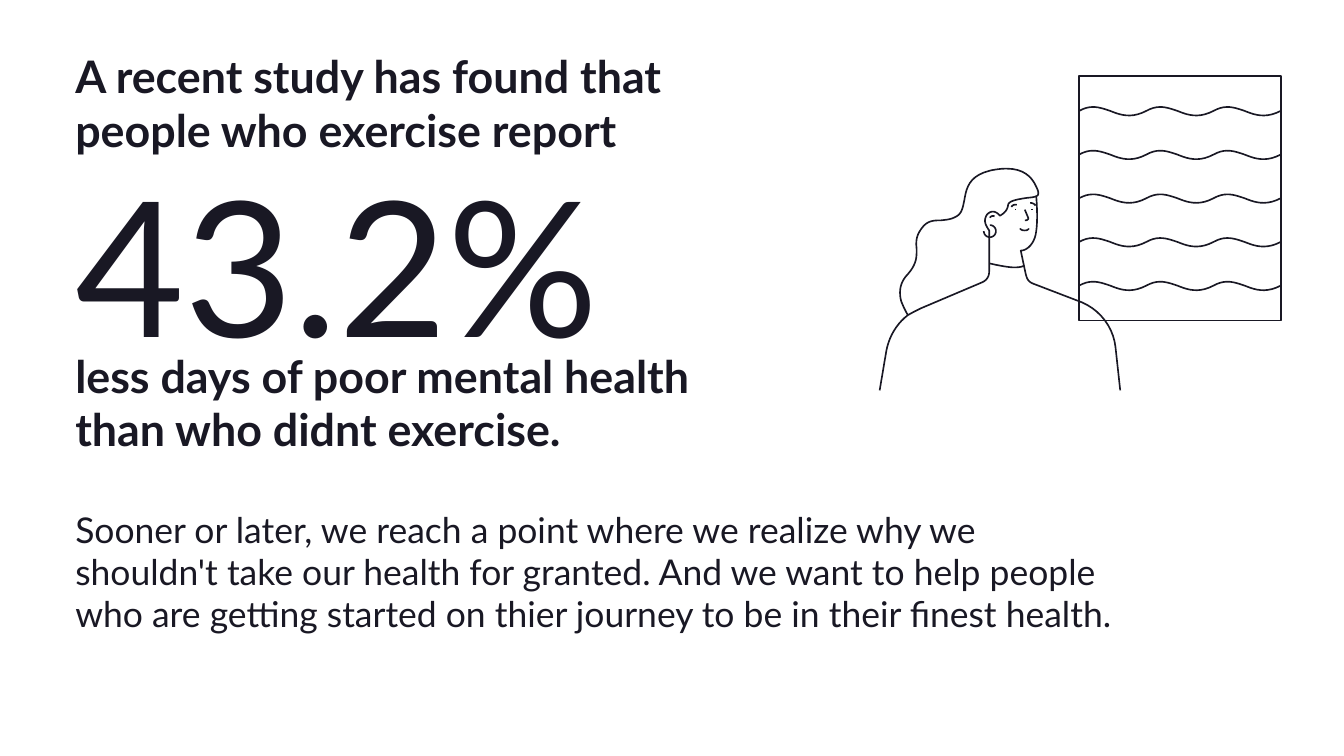
"""Builds the slide on exercise and mental health, with a line drawing of a woman by a window."""
from dataclasses import dataclass

from pptx import Presentation
from pptx.dml.color import RGBColor
from pptx.enum.shapes import MSO_SHAPE
from pptx.enum.text import MSO_ANCHOR, MSO_AUTO_SIZE, PP_ALIGN
from pptx.util import Inches, Pt

RECTANGLE = MSO_SHAPE.RECTANGLE
TOP = MSO_ANCHOR.TOP
NO_AUTOFIT = MSO_AUTO_SIZE.NONE
LEFT = PP_ALIGN.LEFT

COLUMNS, ROWS = 20, 11.25
CELL = Inches(1)
MARGIN = 1.12
CURVE_STEPS = 10


@dataclass(frozen=True)
class Theme:
    """Colours, font, type sizes and line width of the slide."""
    ink: RGBColor = RGBColor(0x19, 0x18, 0x24)
    paper: RGBColor = RGBColor(0xFF, 0xFF, 0xFF)
    font: str = "Lato"
    statement: int = 48
    figure: int = 202
    body: int = 38
    stroke: float = 1.75


@dataclass(frozen=True)
class Area:
    """A rectangle in columns and rows of the grid."""
    column: float
    row: float
    columns: float
    rows: float

    def lengths(self) -> tuple[int, ...]:
        """Return left, top, width and height in slide units."""
        return tuple(cells(n) for n in (self.column, self.row, self.columns, self.rows))


@dataclass(frozen=True)
class Stroke:
    """A pen stroke: its start, then lines (x, y) and cubic curves (six numbers)."""
    start: tuple[float, float]
    steps: list[tuple[float, ...]]

    def points(self) -> list[tuple[float, float]]:
        """Return the points of the stroke, with curves divided into short lines."""
        points = [self.start]
        for step in self.steps:
            if len(step) == 2:
                points.append(step)
                continue
            xs = (points[-1][0], *step[::2])
            ys = (points[-1][1], *step[1::2])
            for i in range(1, CURVE_STEPS + 1):
                t = i / CURVE_STEPS
                points.append((bezier(xs, t), bezier(ys, t)))
        return points


THEME = Theme()

WINDOW = Area(16.06, 1.13, 3, 3.64)
WAVE_COUNT, WAVE_PERIODS = 5, 3
WAVE_TOP, WAVE_GAP = 1.65, 0.65
WAVE_PERIOD = WINDOW.columns / WAVE_PERIODS
WAVE_CURVES = [(0.18, -0.1, 0.31, -0.05, 0.46, 0), (0.61, 0.06, 0.77, 0.12, WAVE_PERIOD, 0)]

NECK_AND_JAW = Stroke((16.67, 5.81), [
    (16.6, 5.17), (16.57, 4.88, 16.38, 4.62, 16.1, 4.5),
    (15.37, 4.22), (15.3, 4.19, 15.28, 4.15, 15.26, 4.06),
    (15.19, 3.73), (15.28, 3.73, 15.4, 3.63, 15.42, 3.44),
    (15.45, 3.24, 15.42, 2.92, 15.42, 2.92)])
SHOULDER_AND_HAIR = Stroke((13.09, 5.81), [
    (13.19, 5.22), (13.23, 5.01, 13.34, 4.82, 13.51, 4.69),
    (13.58, 4.65, 13.64, 4.62, 13.7, 4.59),
    (14.62, 4.2), (14.68, 4.17, 14.72, 4.12, 14.72, 4.04),
    (14.72, 3.43), (14.68, 3.37, 14.62, 3.29, 14.69, 3.19),
    (14.76, 3.12, 14.83, 3.15, 14.88, 3.21),
    (14.9, 3.2, 14.99, 3.15, 15, 3.06),
    (15, 2.99, 15.13, 2.97, 15.25, 2.95),
    (15.31, 2.94, 15.38, 2.94, 15.42, 2.92),
    (15.46, 2.91, 15.46, 2.86, 15.43, 2.8),
    (15.39, 2.71, 15.3, 2.51, 14.98, 2.51),
    (14.9, 2.51, 14.82, 2.52, 14.73, 2.54),
    (14.41, 2.62, 14.38, 2.81, 14.35, 2.98),
    (14.33, 3.07, 14.32, 3.16, 14.25, 3.21),
    (14.16, 3.27, 14.08, 3.27, 14, 3.28),
    (13.89, 3.28, 13.79, 3.28, 13.7, 3.42),
    (13.63, 3.52, 13.63, 3.61, 13.64, 3.7),
    (13.64, 3.81, 13.65, 3.92, 13.51, 4.08),
    (13.4, 4.19, 13.37, 4.33, 13.41, 4.48),
    (13.44, 4.56, 13.47, 4.62, 13.51, 4.69)])
EAR = Stroke((14.73, 3.24), [(14.75, 3.21, 14.78, 3.21, 14.8, 3.22)])
EARRING = Stroke((14.64, 3.44), [
    (14.64, 3.49, 14.68, 3.53, 14.73, 3.53), (14.78, 3.53, 14.82, 3.49, 14.82, 3.44),
    (14.82, 3.39, 14.78, 3.35, 14.73, 3.35)])
EYES = [Stroke((x, 3.11), [(x, 3.13)]) for x in (15.11, 15.36)]
BROWS = [Stroke((15.05, 3.08), [(15.07, 3.05, 15.1, 3.04, 15.13, 3.05)]),
         Stroke((15.33, 3.02), [(15.36, 3.02, 15.39, 3.03, 15.41, 3.06)])]
NOSE = Stroke((15.25, 3.12), [(15.3, 3.24), (15.31, 3.26, 15.29, 3.28, 15.25, 3.28)])
MOUTH = Stroke((15.18, 3.4), [(15.18, 3.4, 15.19, 3.43, 15.25, 3.43),
                              (15.3, 3.43, 15.31, 3.4, 15.31, 3.4)])
COLLAR = Stroke((14.72, 3.92), [(14.73, 3.92, 14.97, 3.98, 15.09, 3.98),
                                (15.2, 3.98, 15.23, 3.96, 15.24, 3.95)])
WOMAN = [NECK_AND_JAW, SHOULDER_AND_HAIR, EAR, EARRING, *EYES, *BROWS, NOSE, MOUTH, COLLAR]


def cells(count: float) -> int:
    """Return the length of a number of grid cells."""
    return round(count * CELL)


def bezier(values: tuple[float, ...], t: float) -> float:
    """Return one coordinate of a cubic curve at share t."""
    a, b, c, d = values
    s = 1 - t
    return s**3 * a + 3 * s * s * t * b + 3 * s * t * t * c + t**3 * d


def wave(row: float) -> Stroke:
    """Return a wave that crosses the window at a row."""
    steps = []
    for period in range(WAVE_PERIODS):
        left = WINDOW.column + period * WAVE_PERIOD
        for curve in WAVE_CURVES:
            steps.append(tuple(n + (row if i % 2 else left) for i, n in enumerate(curve)))
    return Stroke((WINDOW.column, row), steps)


def outline(shape) -> None:
    """Give a shape the ink line only."""
    shape.shadow.inherit = False
    shape.fill.background()
    shape.line.color.rgb = THEME.ink
    shape.line.width = Pt(THEME.stroke)


def draw_strokes(slide, strokes: list[Stroke]) -> None:
    """Draw strokes together as one outline."""
    pen = None
    for stroke in strokes:
        start, *rest = [(cells(x), cells(y)) for x, y in stroke.points()]
        if pen is None:
            pen = slide.shapes.build_freeform(*start)
        else:
            pen.move_to(*start)
        pen.add_line_segments(rest, close=False)
    outline(pen.convert_to_shape())


def write(holder, text: str, area: Area, *, size: int, bold: bool = False,
          leading: float | None = None) -> None:
    """Place a text holder and write formatted text into it."""
    holder.left, holder.top, holder.width, holder.height = area.lengths()
    frame = holder.text_frame
    frame.margin_left = frame.margin_right = frame.margin_top = frame.margin_bottom = 0
    frame.word_wrap = True
    frame.auto_size = NO_AUTOFIT
    frame.vertical_anchor = TOP
    frame.text = text
    paragraph = frame.paragraphs[0]
    paragraph.alignment = LEFT
    if leading:
        paragraph.line_spacing = Pt(leading)
    for run in paragraph.runs:
        run.font.name = THEME.font
        run.font.size = Pt(size)
        run.font.bold = bold
        run.font.color.rgb = THEME.ink


def main() -> None:
    """Build and save the slide."""
    deck = Presentation()
    deck.slide_width, deck.slide_height = cells(COLUMNS), cells(ROWS)
    slide = deck.slides.add_slide(deck.slide_layouts[5])
    slide.background.fill.solid()
    slide.background.fill.fore_color.rgb = THEME.paper

    outline(slide.shapes.add_shape(RECTANGLE, *WINDOW.lengths()))
    draw_strokes(slide, [wave(WAVE_TOP + i * WAVE_GAP) for i in range(WAVE_COUNT)])
    draw_strokes(slide, WOMAN)

    def text_box():
        return slide.shapes.add_textbox(0, 0, CELL, CELL)

    write(slide.shapes.title, "A recent study has found that\vpeople who exercise report",
          Area(MARGIN, 0.74, 11.26, 1.57), size=THEME.statement, bold=True, leading=57)
    write(text_box(), "43.2%", Area(MARGIN, 2.21, 8.91, 3.27), size=THEME.figure)
    write(text_box(), "less days of poor mental health\vthan who didnt exercise.",
          Area(MARGIN, 5.2, 11.88, 1.57), size=THEME.statement, bold=True, leading=57)
    write(text_box(), "Sooner or later, we reach a point where we realize why we\v"
          "shouldn't take our health for granted. And we want to help people\v"
          "who are getting started on thier journey to be in their finest health.",
          Area(MARGIN, 7.57, 18.02, 1.87), size=THEME.body, leading=45)
    deck.save("out.pptx")


if __name__ == "__main__":
    main()
